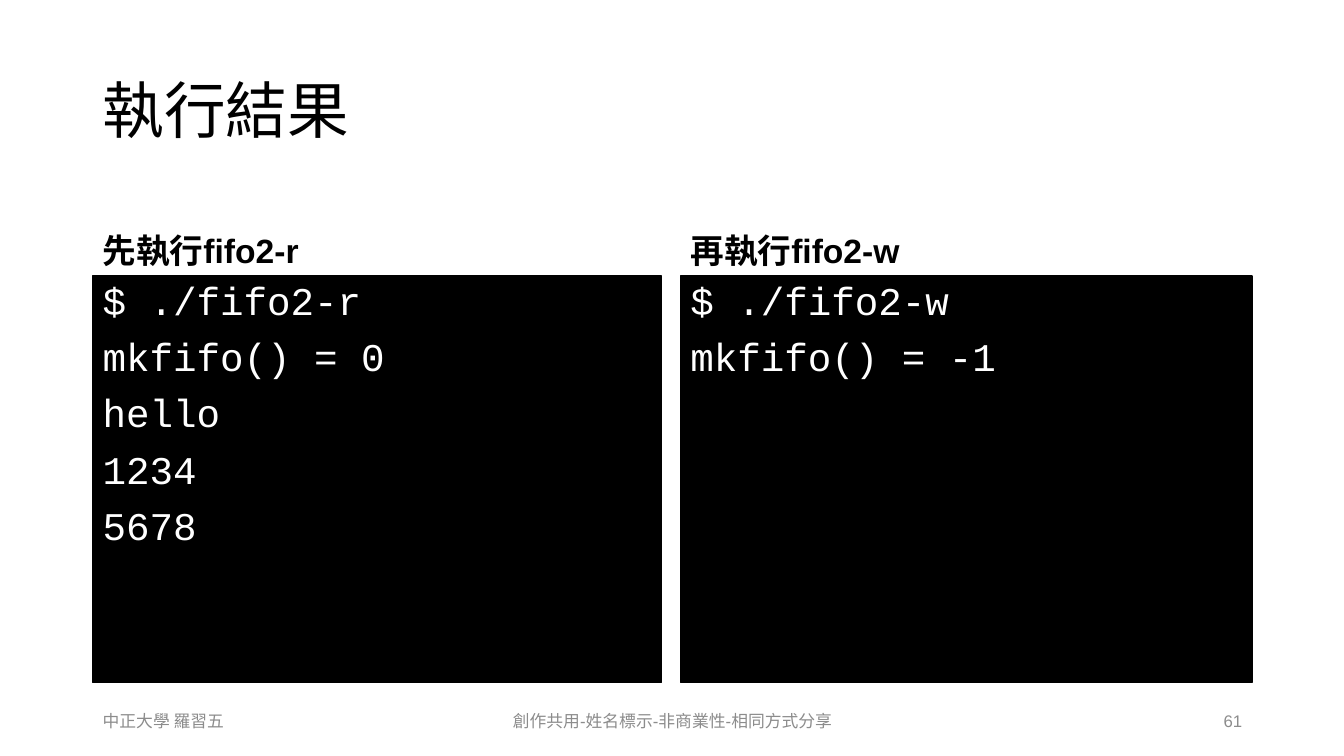
from pptx import Presentation
from pptx.dml.color import RGBColor
from pptx.enum import shapes, text
from pptx.util import Inches, Pt

COLORS = {"black": "000000", "white": "FFFFFF", "grey": "8C8C8C"}
ALIGN = text.PP_ALIGN
ANCHOR = text.MSO_ANCHOR


def write(shape, content, size, color, font="Arial", bold=False,
          anchor=ANCHOR.MIDDLE, align=ALIGN.LEFT, line_spacing=None, before=None):
    frame = shape.text_frame
    frame.text = content
    frame.word_wrap = True
    frame.vertical_anchor = anchor
    for paragraph in frame.paragraphs:
        paragraph.alignment = align
        paragraph.line_spacing = line_spacing
        paragraph.space_before = before
        for run in paragraph.runs:
            run.font.name = font
            run.font.size = Pt(size)
            run.font.bold = bold
            run.font.color.rgb = RGBColor.from_string(COLORS[color])


def add_text(left, top, width, height, content, size, color, **style):
    box = slide.shapes.add_textbox(Inches(left), Inches(top), Inches(width), Inches(height))
    write(box, content, size, color, **style)


presentation = Presentation()
presentation.slide_width = Inches(13.33)
presentation.slide_height = Inches(7.5)
slide = presentation.slides.add_slide(presentation.slide_layouts[6])

# Title
add_text(0.92, 0.4, 11.5, 1.45, "執行結果", 44, "black", line_spacing=0.9)

# Headings above terminal panels
terminals = [
    (0.92, 5.64, "先執行fifo2-r", ["$ ./fifo2-r", "mkfifo() = 0", "hello", "1234", "5678"]),
    (6.75, 5.67, "再執行fifo2-w", ["$ ./fifo2-w", "mkfifo() = -1"]),
]
for left, width, heading, output in terminals:
    add_text(left, 1.84, width, 0.9, heading, 24, "black", bold=True,
             anchor=ANCHOR.BOTTOM, line_spacing=0.9, before=Pt(10))
    panel = slide.shapes.add_shape(shapes.MSO_SHAPE.RECTANGLE, Inches(left), Inches(2.74),
                                   Inches(width), Inches(4.03))
    panel.shadow.inherit = False
    panel.fill.solid()
    panel.fill.fore_color.rgb = RGBColor.from_string(COLORS["black"])
    panel.line.color.rgb = RGBColor.from_string(COLORS["black"])
    panel.line.width = Pt(1)
    write(panel, "\n".join(output), 28, "white", font="Courier New",
          anchor=ANCHOR.TOP, line_spacing=0.9, before=Pt(10))

# Footer
footers = [
    (0.92, 3, "中正大學 羅習五", ALIGN.LEFT),
    (4.42, 4.5, "創作共用-姓名標示-非商業性-相同方式分享", ALIGN.CENTER),
    (9.42, 3, "61", ALIGN.RIGHT),
]
for left, width, content, align in footers:
    add_text(left, 6.95, width, 0.4, content, 12, "grey", align=align)

presentation.save("out.pptx")
